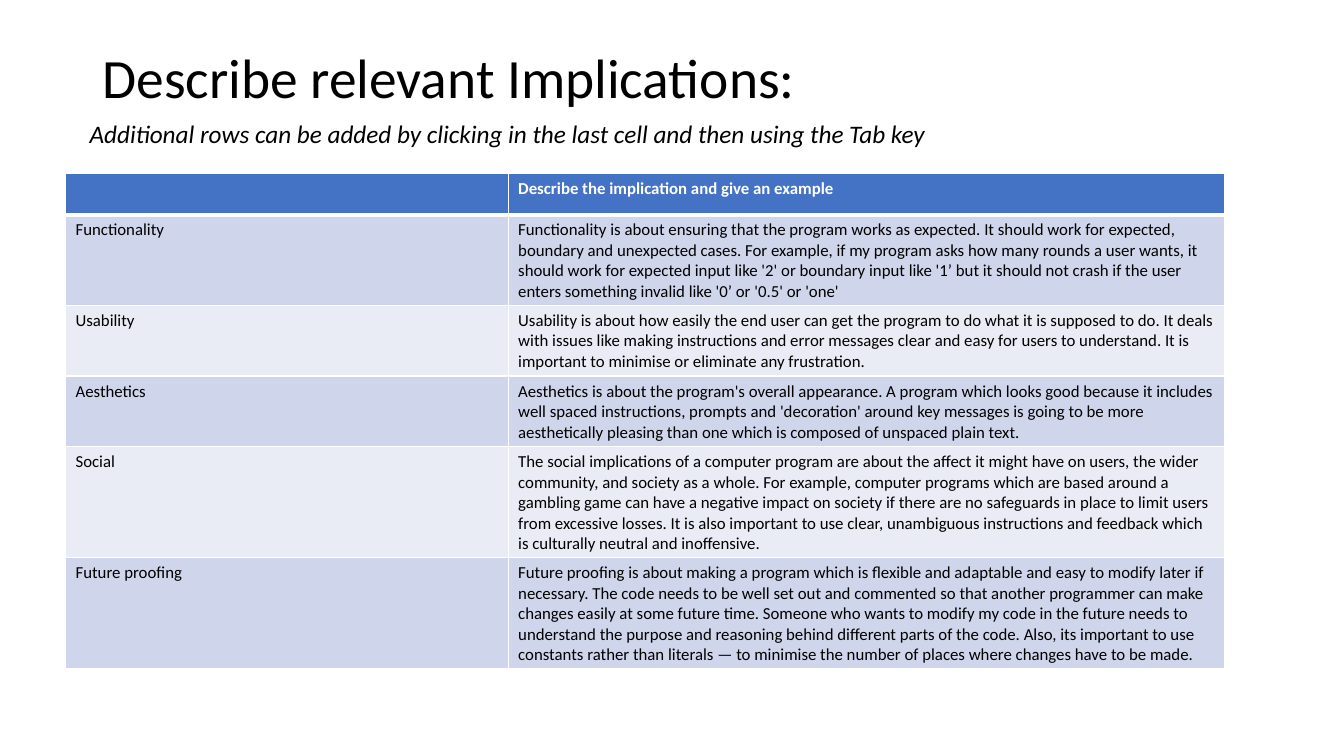
from dataclasses import dataclass

from lxml.etree import SubElement
from pptx import Presentation
from pptx.dml.color import RGBColor
from pptx.enum.text import MSO_ANCHOR as Anchor
from pptx.oxml.ns import qn
from pptx.slide import Slide
from pptx.util import Inches, Pt

IMPLICATIONS = [
    ("Functionality",
     "Functionality is about ensuring that the program works as expected. It should work for "
     "expected, boundary and unexpected cases. For example, if my program asks how many rounds "
     "a user wants, it should work for expected input like '2' or boundary input like '1’ but "
     "it should not crash if the user enters something invalid like '0’ or '0.5' or 'one'"),
    ("Usability",
     "Usability is about how easily the end user can get the program to do what it is supposed "
     "to do. It deals with issues like making instructions and error messages clear and easy "
     "for users to understand. It is important to minimise or eliminate any frustration."),
    ("Aesthetics",
     "Aesthetics is about the program's overall appearance. A program which looks good because "
     "it includes well spaced instructions, prompts and 'decoration' around key messages is "
     "going to be more aesthetically pleasing than one which is composed of unspaced plain "
     "text."),
    ("Social",
     "The social implications of a computer program are about the affect it might have on "
     "users, the wider community, and society as a whole. For example, computer programs which "
     "are based around a gambling game can have a negative impact on society if there are no "
     "safeguards in place to limit users from excessive losses. It is also important to use "
     "clear, unambiguous instructions and feedback which is culturally neutral and "
     "inoffensive."),
    ("Future proofing",
     "Future proofing is about making a program which is flexible and adaptable and easy to "
     "modify later if necessary. The code needs to be well set out and commented so that "
     "another programmer can make changes easily at some future time. Someone who wants to "
     "modify my code in the future needs to understand the purpose and reasoning behind "
     "different parts of the code. Also, its important to use constants rather than literals "
     "— to minimise the number of places where changes have to be made."),
]


def color(value):
    return RGBColor.from_string(value)


@dataclass
class SlideBuilder:
    """Adds styled text and tables to one slide."""

    slide: Slide
    font: str = "Calibri"
    ink: str = "000000"
    paper: str = "FFFFFF"
    header_fill: str = "4472C4"
    bands: tuple = ("CFD5EA", "E9EBF5")

    def format_text(self, text_frame, size, ink, bold=False, italic=False):
        for paragraph in text_frame.paragraphs:
            for run in paragraph.runs:
                font = run.font
                font.name, font.size = self.font, Pt(size)
                font.bold, font.italic = bold, italic
                font.color.rgb = color(ink)

    def text(self, text, left, top, width, height, size, anchor=Anchor.TOP,
             line_spacing=1.0, italic=False):
        shape = self.slide.shapes.add_textbox(
            Inches(left), Inches(top), Inches(width), Inches(height))
        text_frame = shape.text_frame
        text_frame.word_wrap = True
        text_frame.vertical_anchor = anchor
        text_frame.text = text
        text_frame.paragraphs[0].line_spacing = line_spacing
        self.format_text(text_frame, size, self.ink, italic=italic)

    def borders(self, cell, **widths):
        properties = cell._tc.get_or_add_tcPr()
        for side in "LRTB":
            line = SubElement(properties, qn(f"a:ln{side}"), w=str(Pt(widths.get(side, 1))))
            fill = SubElement(line, qn("a:solidFill"))
            SubElement(fill, qn("a:srgbClr"), val=self.paper)

    def table(self, rows, left, top, column_widths, row_height, size):
        table = self.slide.shapes.add_table(
            len(rows), len(column_widths), Inches(left), Inches(top),
            Inches(sum(column_widths)), Inches(row_height * len(rows))).table
        for column, width in zip(table.columns, column_widths):
            column.width = Inches(width)
        for row_index, texts in enumerate(rows):
            header = row_index == 0
            fill = self.header_fill if header else self.bands[(row_index - 1) % 2]
            for column_index, text in enumerate(texts):
                cell = table.cell(row_index, column_index)
                self.borders(cell, T=3 if row_index == 1 else 1, B=3 if header else 1)
                cell.fill.solid()
                cell.fill.fore_color.rgb = color(fill)
                if text:
                    cell.text_frame.text = text
                    self.format_text(cell.text_frame, size,
                                     self.paper if header else self.ink, bold=header)


def main():
    presentation = Presentation()
    presentation.slide_width = Inches(13.33)
    presentation.slide_height = Inches(7.5)
    builder = SlideBuilder(presentation.slides.add_slide(presentation.slide_layouts[6]))
    builder.text("Describe relevant Implications:", 0.92, 0.4, 11.5, 0.61, 39.6,
                 anchor=Anchor.MIDDLE, line_spacing=1.15)
    builder.text("Additional rows can be added by clicking in the last cell and then using "
                 "the Tab key", 0.79, 1.12, 10.94, 0.4, 18, italic=True)
    header = ("", "Describe the implication and give an example")
    builder.table([header, *IMPLICATIONS], 0.65, 1.72, (4.39, 7.11), 0.41, 12)
    presentation.save("out.pptx")


if __name__ == "__main__":
    main()
